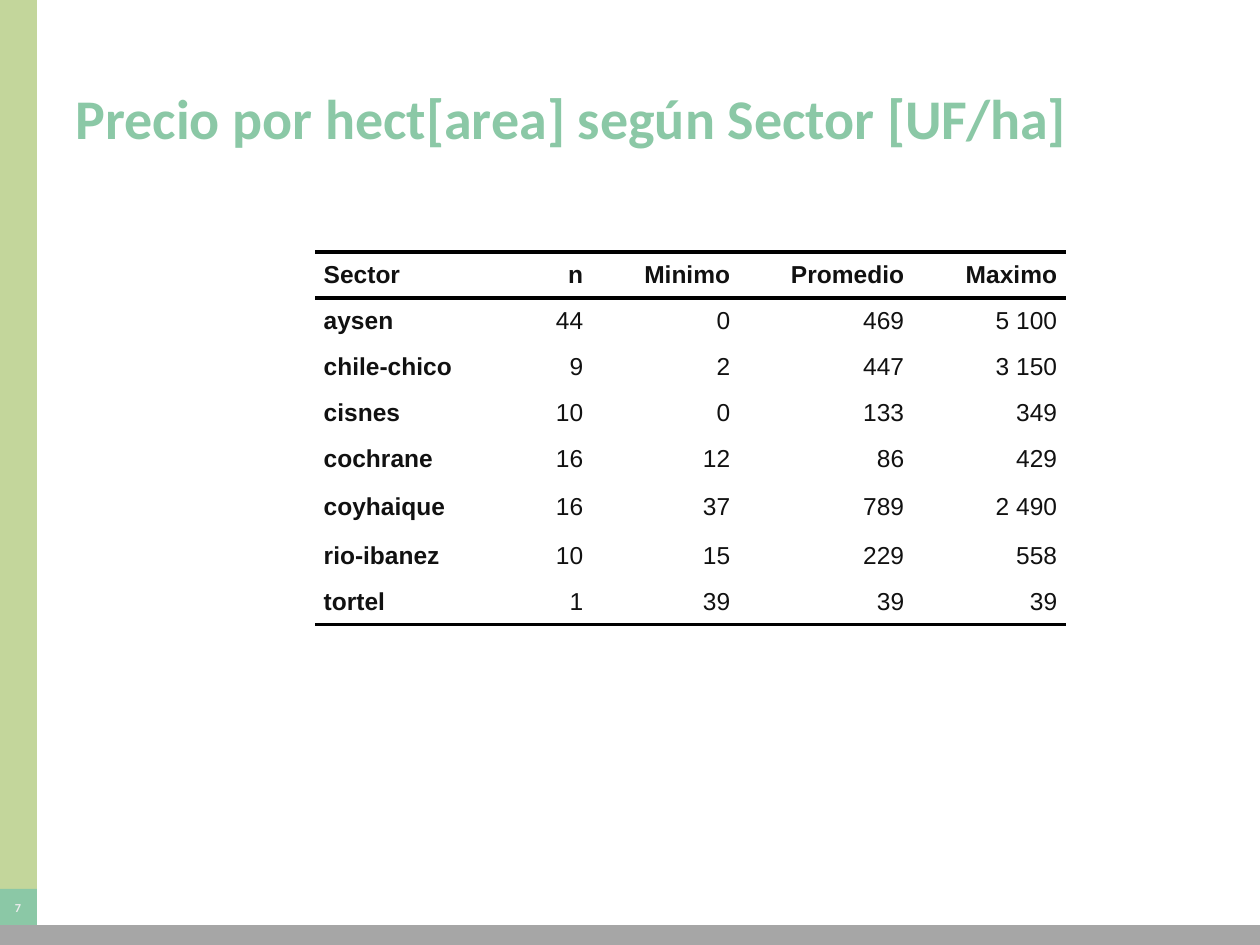
from dataclasses import dataclass

from lxml.etree import SubElement
from pptx import Presentation
from pptx.dml.color import RGBColor as RGB
from pptx.enum.shapes import MSO_SHAPE as SHAPE
from pptx.enum.text import MSO_ANCHOR as ANCHOR, PP_ALIGN as ALIGN
from pptx.oxml.ns import qn
from pptx.util import Emu, Pt


@dataclass(frozen=True)
class Theme:
    lime: str = "C3D69B"
    green: str = "8BC8A6"
    gray: str = "A6A6A6"
    pale: str = "ECECEC"
    ink: str = "111111"
    rule: str = "000000"
    heading_font: str = "Calibri"
    table_font: str = "Arial"
    title_size: int = 32
    table_size: int = 14
    number_size: int = 7
    rule_width: int = 2


T = Theme()
PX = 914400 / 126
NO_STYLE = "{2D5ABB26-0587-4C30-8999-92F81FD0307C}"


def px(*lengths):
    return [Emu(round(n * PX)) for n in lengths]


def style(p, font, size, color, bold=True):
    f = p.runs[0].font
    f.name, f.size, f.bold = font, Pt(size), bold
    f.color.rgb = RGB.from_string(color)


prs = Presentation()
prs.slide_width, prs.slide_height = px(1260, 945)
s = prs.slides.add_slide(prs.slide_layouts[6])

# Side bar, page number box and footer bar
bars = [
    (0, 0, 37, 890, T.lime, ""),
    (-1, 889, 38, 37, T.green, "7"),
    (-1, 925, 1264, 20, T.gray, ""),
]
for x, y, w, h, color, text in bars:
    sp = s.shapes.add_shape(SHAPE.RECTANGLE, *px(x, y, w, h))
    sp.shadow.inherit = False
    sp.fill.solid()
    sp.fill.fore_color.rgb = RGB.from_string(color)
    sp.line.fill.background()
    if text:
        tf = sp.text_frame
        tf.margin_left = tf.margin_right = tf.margin_top = tf.margin_bottom = 0
        tf.vertical_anchor = ANCHOR.MIDDLE
        tf.text = text
        p = tf.paragraphs[0]
        p.alignment = ALIGN.CENTER
        style(p, T.heading_font, T.number_size, T.pale)

# Title
tf = s.shapes.add_textbox(*px(63, 38, 1134, 158)).text_frame
tf.word_wrap = True
tf.vertical_anchor = ANCHOR.MIDDLE
tf.text = "Precio por hect[area] según Sector [UF/ha]"
style(tf.paragraphs[0], T.heading_font, T.title_size, T.green)

# Price table
rows = [
    ("Sector", "n", "Minimo", "Promedio", "Maximo"),
    ("aysen", "44", "0", "469", "5 100"),
    ("chile-chico", "9", "2", "447", "3 150"),
    ("cisnes", "10", "0", "133", "349"),
    ("cochrane", "16", "12", "86", "429"),
    ("coyhaique", "16", "37", "789", "2 490"),
    ("rio-ibanez", "10", "15", "229", "558"),
    ("tortel", "1", "39", "39", "39"),
]
col_widths = px(189, 88, 147, 174, 153)
row_heights = px(46, 46, 46, 46, 46, 51, 46, 46)
rules = {0: ("a:lnT", "a:lnB"), len(rows) - 1: ("a:lnB",)}

frame = s.shapes.add_table(len(rows), len(col_widths), *px(315, 252),
                           sum(col_widths), sum(row_heights))
table = frame.table
table.first_row = table.horz_banding = False
table._tbl.tblPr.find(qn("a:tableStyleId")).text = NO_STYLE
for column, width in zip(table.columns, col_widths):
    column.width = width
for i, (values, height) in enumerate(zip(rows, row_heights)):
    table.rows[i].height = height
    for j, value in enumerate(values):
        cell = table.cell(i, j)
        cell.margin_left = cell.margin_right = 0
        cell.margin_top = cell.margin_bottom = 0
        cell.vertical_anchor = ANCHOR.MIDDLE
        cell.text = value
        p = cell.text_frame.paragraphs[0]
        p.alignment = ALIGN.RIGHT if j else ALIGN.LEFT
        p.space_before = p.space_after = Pt(2)
        pPr = p._p.get_or_add_pPr()
        for side in ("marL", "marR"):
            pPr.set(side, str(Pt(5)))
        pPr.set("indent", "0")
        style(p, T.table_font, T.table_size, T.ink, bold=i == 0 or j == 0)
        for tag in rules.get(i, ()):
            ln = SubElement(cell._tc.get_or_add_tcPr(), qn(tag), w=str(Pt(T.rule_width)))
            SubElement(SubElement(ln, qn("a:solidFill")), qn("a:srgbClr"), val=T.rule)
        cell.fill.background()

prs.save("out.pptx")
